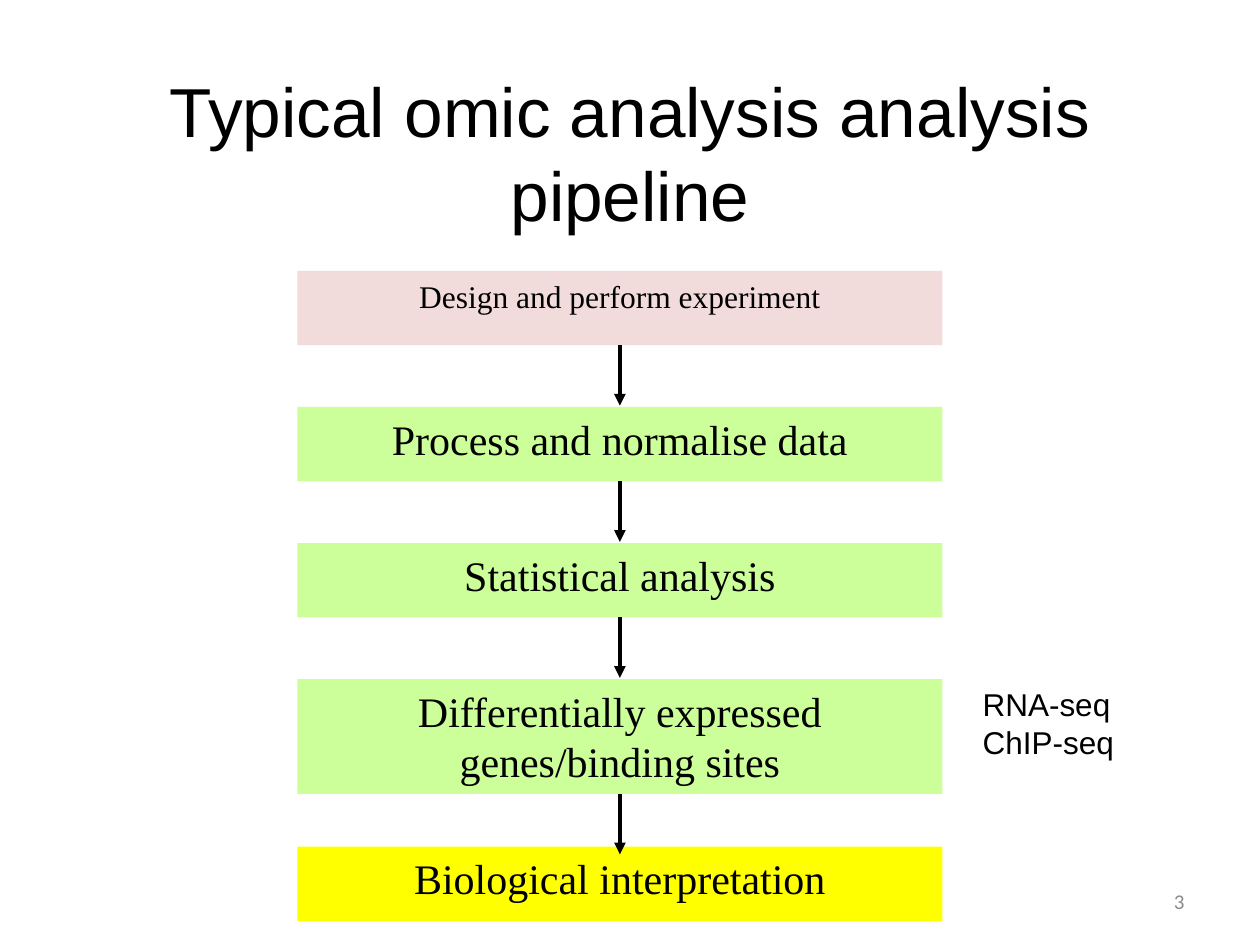
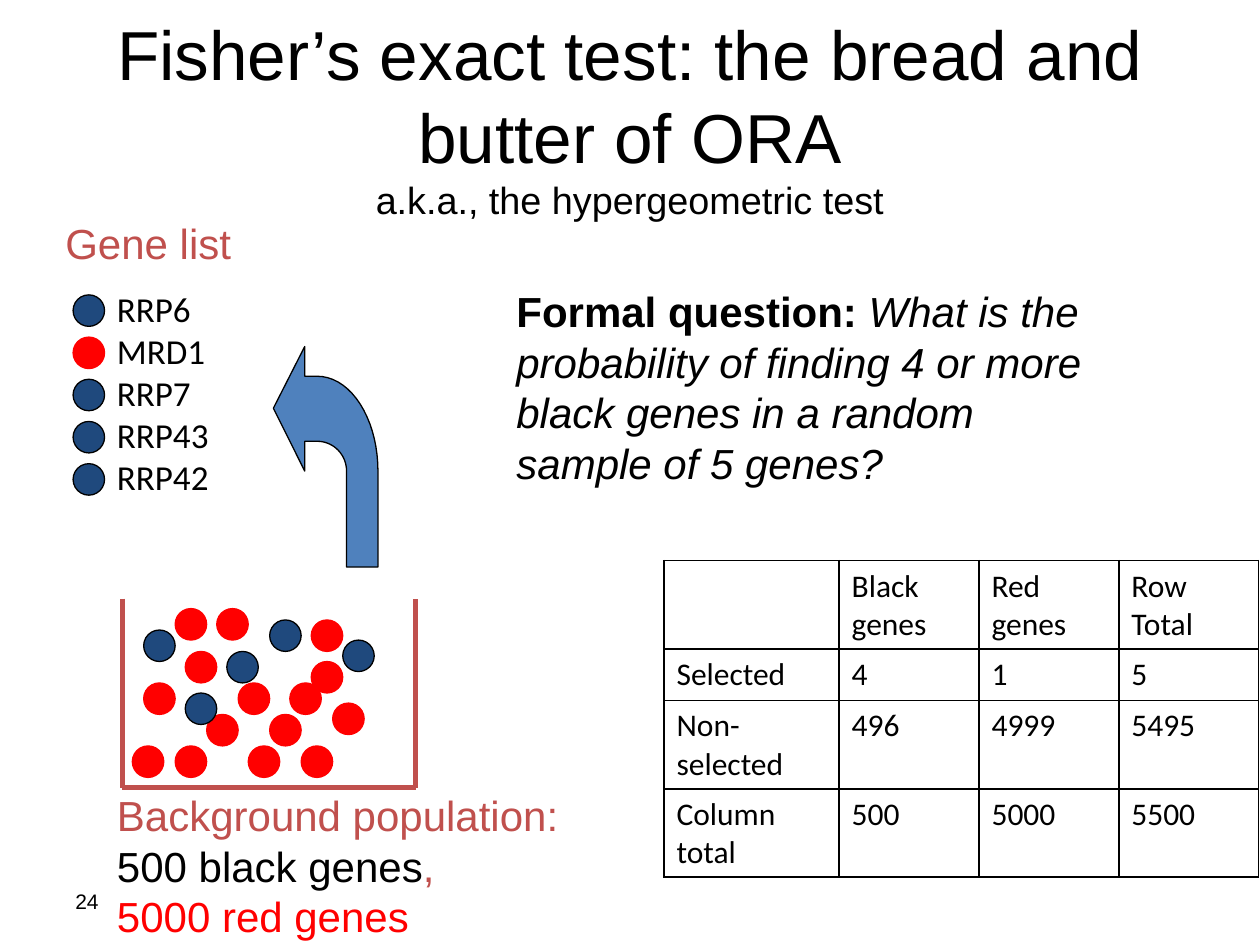
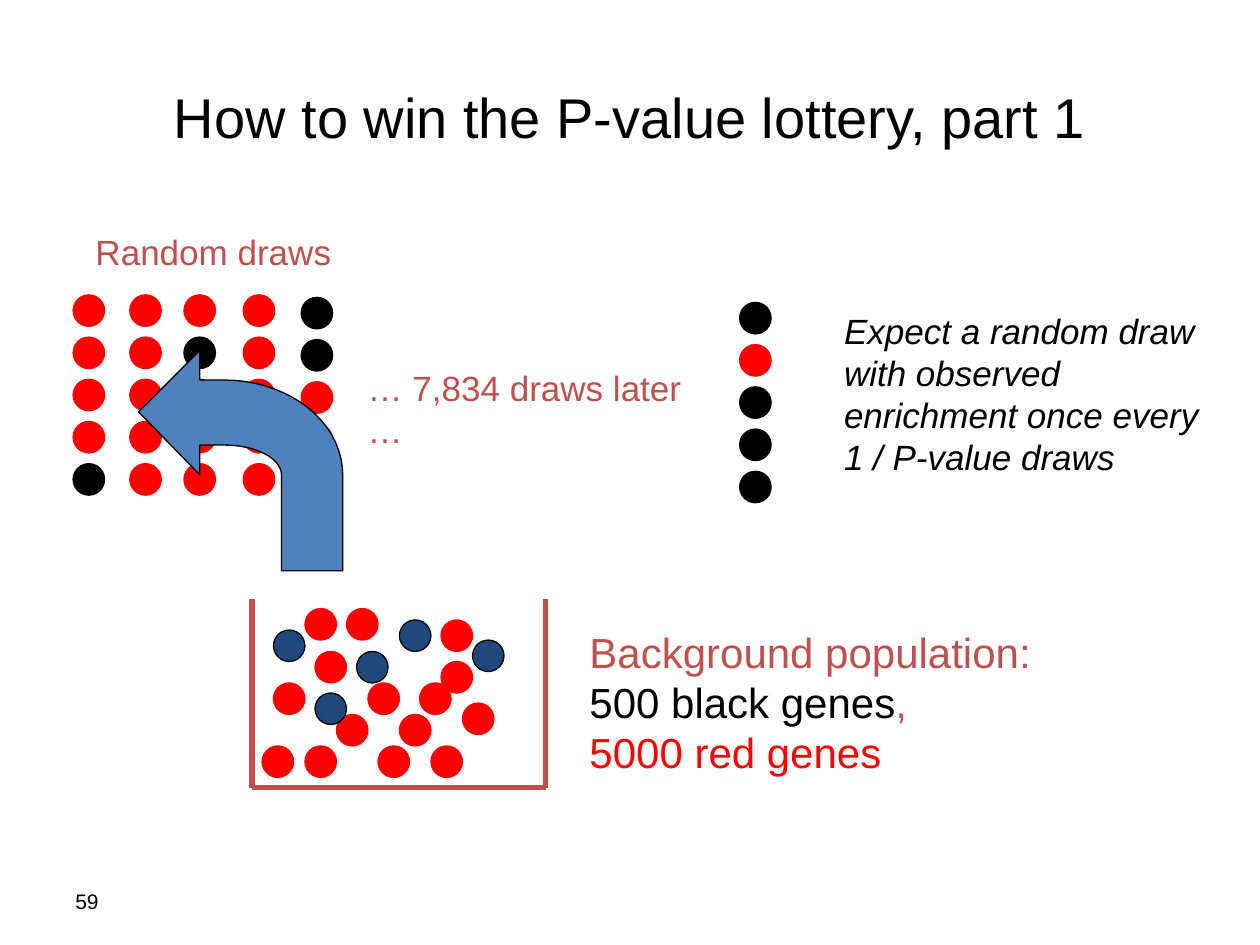
import itertools
import math

import pptx
import pptx.dml.color
import pptx.enum.shapes
import pptx.enum.text
import pptx.oxml
import pptx.oxml.ns
import pptx.util

Inches = pptx.util.Inches
Pt = pptx.util.Pt
ALIGN = pptx.enum.text.PP_ALIGN
ANCHOR = pptx.enum.text.MSO_ANCHOR
AUTO_SIZE = pptx.enum.text.MSO_AUTO_SIZE
SHAPE = pptx.enum.shapes.MSO_SHAPE

COLOURS = {
    "black": "000000",
    "red": "FF0000",
    "navy": "1F497D",
    "blue": "4F81BD",
    "brick": "C0504D",
    "pink": "F2DCDB",
    "green": "CCFF99",
    "yellow": "FFFF00",
    "grey": "8C8C8C",
}
TITLE = {"name": "Arial", "size": Pt(39.6), "color": "black"}
BODY = {"name": "Arial", "size": Pt(24), "color": "black"}
SMALL_BODY = BODY | {"size": Pt(20)}
GENE = {"name": "Calibri", "size": Pt(20), "color": "black"}
CELL = GENE | {"size": Pt(18)}
STEP = {"name": "Times New Roman", "size": Pt(24), "color": "black"}
FOOTER = BODY | {"size": Pt(12)}
BRICK = {"color": "brick"}

FITTED = {"word_wrap": False, "auto_size": AUTO_SIZE.SHAPE_TO_FIT_TEXT}
WRAPPED = {"word_wrap": True, "auto_size": AUTO_SIZE.SHAPE_TO_FIT_TEXT}
FIXED = {"word_wrap": True, "auto_size": AUTO_SIZE.NONE, "vertical_anchor": ANCHOR.MIDDLE}


def write(frame, paragraphs, style, layout, align=ALIGN.LEFT):
    """Fill a text frame; each paragraph is a list of (text, style changes)."""
    for name, value in layout.items():
        setattr(frame, name, value)
    for index, runs in enumerate(paragraphs):
        paragraph = frame.paragraphs[0] if index == 0 else frame.add_paragraph()
        paragraph.alignment = align
        for text, changes in runs:
            run = paragraph.add_run()
            run.text = text
            for name, value in (style | changes).items():
                if name == "color":
                    run.font.color.rgb = pptx.dml.color.RGBColor.from_string(COLOURS[value])
                else:
                    setattr(run.font, name, value)


def paint(shape, fill, line=None):
    shape.shadow.inherit = False
    shape.fill.solid()
    shape.fill.fore_color.rgb = pptx.dml.color.RGBColor.from_string(COLOURS[fill])
    if line:
        shape.line.color.rgb = pptx.dml.color.RGBColor.from_string(COLOURS[line])
        shape.line.width = Pt(0.75)
    else:
        shape.line.fill.background()


deck = pptx.Presentation()
deck.slide_width, deck.slide_height = Inches(10), Inches(7.5)

# Titles and page numbers
pages = [
    ((0.75, 0.5, 8.5, 1.41), [[("Typical omic analysis analysis pipeline", {})]],
     "3", 7.17, ALIGN.RIGHT, {"name": "Calibri", "color": "grey"}),
    ((0.5, 0.3, 9, 1.25),
     [[("Fisher’s exact test: the bread and butter of ORA", {})],
      [("a.k.a., the hypergeometric test", {"size": Pt(21.6)})]],
     "24", 0.5, ALIGN.LEFT, {}),
    ((0.5, 0.3, 9, 1.25),
     [[("How to win the P-value lottery, part 1", {"size": Pt(32)})]],
     "59", 0.5, ALIGN.LEFT, {}),
]
slides = []
for place, heading, number, number_left, number_align, number_style in pages:
    slide = deck.slides.add_slide(deck.slide_layouts[5])
    title = slide.shapes.title
    title.left, title.top, title.width, title.height = map(Inches, place)
    write(title.text_frame, heading, TITLE, FIXED, ALIGN.CENTER)
    page_number = slide.shapes.add_textbox(*map(Inches, (number_left, 6.95, 2.33, 0.4)))
    write(page_number.text_frame, [[(number, number_style)]], FOOTER, FIXED, number_align)
    slides.append(slide)
pipeline, fisher, lottery = slides

# Analysis pipeline
steps = [
    ("Design and perform experiment", 2.15, 0.59, "pink", {"size": Pt(18)}),
    ("Process and normalise data", 3.23, 0.59, "green", {}),
    ("Statistical analysis", 4.31, 0.59, "green", {}),
    ("Differentially expressed genes/binding sites", 5.39, 0.91, "green", {}),
    ("Biological interpretation", 6.72, 0.59, "yellow", {}),
]
for text, top, height, fill, changes in steps:
    step = pipeline.shapes.add_shape(SHAPE.RECTANGLE, *map(Inches, (2.36, top, 5.12, height)))
    paint(step, fill)
    write(step.text_frame, [[(text, changes)]], STEP,
          {"word_wrap": True, "vertical_anchor": ANCHOR.TOP}, ALIGN.CENTER)

flows = []
for text, top, height, fill, changes in steps[:-1]:
    bottom = top + height
    flow = pipeline.shapes.add_connector(
        pptx.enum.shapes.MSO_CONNECTOR.STRAIGHT,
        *map(Inches, (4.92, bottom, 4.92, bottom + 0.48)))
    flow.line.width = Pt(2.25)
    flow.line.color.rgb = pptx.dml.color.RGBColor.from_string(COLOURS["black"])
    head = pptx.oxml.ns.qn("a:tailEnd")
    flow.line._get_or_add_ln().append(pptx.oxml.parse_xml(
        f'<a:tailEnd {pptx.oxml.ns.nsdecls("a")} type="triangle"/>'))
    flows.append(flow)

assays = pipeline.shapes.add_textbox(*map(Inches, (7.7, 5.39, 1.25, 0.71)))
write(assays.text_frame, [[("RNA-seq", {})], [("ChIP-seq", {})]],
      BODY | {"size": Pt(18)}, FITTED)

# Urn of genes, draws from it and the arrow between them
DOT = 0.25
DRAW_PITCH = 0.335
URN_TOP, URN_BOTTOM, URN_WIDTH = 4.75, 6.25, 2.33
urn_genes = {
    "red": [(0.08, 5.92), (0.5, 5.17), (1.17, 5.67), (1.67, 5.58), (0.67, 5.67),
            (1.42, 5.92), (0.17, 5.42), (0.42, 5.92), (1, 5.92), (0.75, 4.83),
            (0.92, 5.42), (1.5, 4.92), (0.42, 4.83), (1.33, 5.42), (1.5, 5.25)],
    "navy": [(1.75, 5.08), (0.83, 5.17), (1.17, 4.92), (0.17, 5), (0.5, 5.5)],
}
population = [
    [("Background population:", BRICK)],
    [("500 black genes", {}), (",", BRICK)],
    [("5000 red genes", {"color": "red"})],
]
letters = {"r": "red", "n": "navy", "k": "black"}

# Bent arrow outline as fractions of its width and height
quarter = [math.radians(degrees) for degrees in range(0, 91, 5)]
outer_bend = [(0.42 + 0.58 * math.sin(a), 0.565 - 0.43 * math.cos(a)) for a in quarter]
inner_bend = [(0.42 + 0.28 * math.cos(a), 0.565 - 0.135 * math.sin(a)) for a in quarter]
bent_arrow = [(0, 0.28), (0.3, 0), (0.3, 0.135), *outer_bend, (1, 1), (0.7, 1),
              *inner_bend, (0.3, 0.43), (0.3, 0.565)]

urns = [
    (fisher, 0.97, (0.83, 6.22), [(0.58, 2.34, "nrnnn")], (2.17, 2.75, 0.83)),
    (lottery, 2, (4.58, 4.92),
     [(0.58, 2.34, "rrrrk"), (1.03, 2.34, "rrrrr"), (1.46, 2.34, "rkrrr"),
      (1.93, 2.34, "rrrrr"), (2.39, 2.36, "kkrrr"), (5.87, 2.4, "krkkk")],
     (1.1, 2.78, 1.62)),
]
for slide, urn_left, caption_at, draws, (arrow_left, arrow_top, arrow_width) in urns:
    urn_right = urn_left + URN_WIDTH
    corners = [(urn_left, URN_TOP), (urn_left, URN_BOTTOM), (urn_left + 1, URN_BOTTOM),
               (urn_right, URN_BOTTOM), (urn_right, URN_TOP)]
    for start, end in itertools.pairwise(corners):
        wall = slide.shapes.add_connector(
            pptx.enum.shapes.MSO_CONNECTOR.STRAIGHT, *map(Inches, start + end))
        wall.line.width = Pt(3)
        wall.line.color.rgb = pptx.dml.color.RGBColor.from_string(COLOURS["brick"])
        flows.append(wall)

    genes = [(urn_left + x, y, colour) for colour, spots in urn_genes.items() for x, y in spots]
    genes += [(left, top + row * DRAW_PITCH, letters[letter])
              for left, top, draw in draws for row, letter in enumerate(draw)]
    for left, top, colour in genes:
        gene = slide.shapes.add_shape(SHAPE.OVAL, *map(Inches, (left, top, DOT, DOT)))
        paint(gene, colour, "red" if colour == "red" else "black")

    caption = slide.shapes.add_textbox(*map(Inches, caption_at + (3.71, 1.3)))
    write(caption.text_frame, population, BODY, FITTED)

    outline = [(Inches(arrow_left + x * arrow_width), Inches(arrow_top + y * 1.75))
               for x, y in bent_arrow]
    builder = slide.shapes.build_freeform(*outline[0])
    builder.add_line_segments(outline[1:], close=True)
    paint(builder.convert_to_shape(), "blue", "black")

for connector in flows:
    connector._element.spPr.append(
        pptx.oxml.parse_xml(f'<a:effectLst {pptx.oxml.ns.nsdecls("a")}/>'))

# Labels and questions beside the urns
gene_names = ["RRP6", "MRD1", "RRP7", "RRP43", "RRP42"]
labels = [
    (fisher, (0.42, 1.68, 1.52, 0.5), [[("Gene list", BRICK)]], BODY, FITTED),
    (fisher, (0.83, 2.23, 1.1, 1.77), [[(name, {})] for name in gene_names], GENE, FITTED),
    (fisher, (4, 2.22, 4.75, 1.7),
     [[("Formal question:", {"bold": True}),
       (" What is the probability of finding 4 or more black genes in a random "
        "sample of 5 genes?", {"italic": True})]], BODY, WRAPPED),
    (lottery, (0.66, 1.78, 2.07, 0.43), [[("Random draws", BRICK)]], SMALL_BODY, FITTED),
    (lottery, (2.82, 2.86, 3.04, 0.43), [[("… 7,834 draws later …", BRICK)]],
     SMALL_BODY, WRAPPED),
    (lottery, (6.6, 2.41, 3.18, 1.43),
     [[("Expect a random draw with observed enrichment once every 1 / P-value draws",
        {"italic": True})]], SMALL_BODY, WRAPPED),
]
for slide, place, paragraphs, style, layout in labels:
    label = slide.shapes.add_textbox(*map(Inches, place))
    write(label.text_frame, paragraphs, style, layout)

# Contingency table
counts = [
    ["", "Black genes", "Red genes", "Row Total"],
    ["Selected", "4", "1", "5"],
    ["Non-selected", "496", "4999", "5495"],
    ["Column total", "500", "5000", "5500"],
]
contingency = fisher.shapes.add_table(4, 4, *map(Inches, (5.27, 4.45, 4.72, 2.51))).table
contingency.first_row = contingency.horz_banding = False
for column, width in zip(contingency.columns, (1.39, 1.11, 1.11, 1.11)):
    column.width = Inches(width)
for row, height in zip(contingency.rows, (0.7, 0.41, 0.7, 0.7)):
    row.height = Inches(height)
for row, values in zip(contingency.rows, counts):
    for cell, value in zip(row.cells, values):
        write(cell.text_frame, [[(value, {})]] if value else [], CELL, {})
        for side in "LRTB":
            cell._tc.get_or_add_tcPr().append(pptx.oxml.parse_xml(
                f'<a:ln{side} {pptx.oxml.ns.nsdecls("a")} w="12700"><a:solidFill>'
                f'<a:srgbClr val="{COLOURS["black"]}"/></a:solidFill></a:ln{side}>'))
        cell.fill.background()

deck.save("out.pptx")
